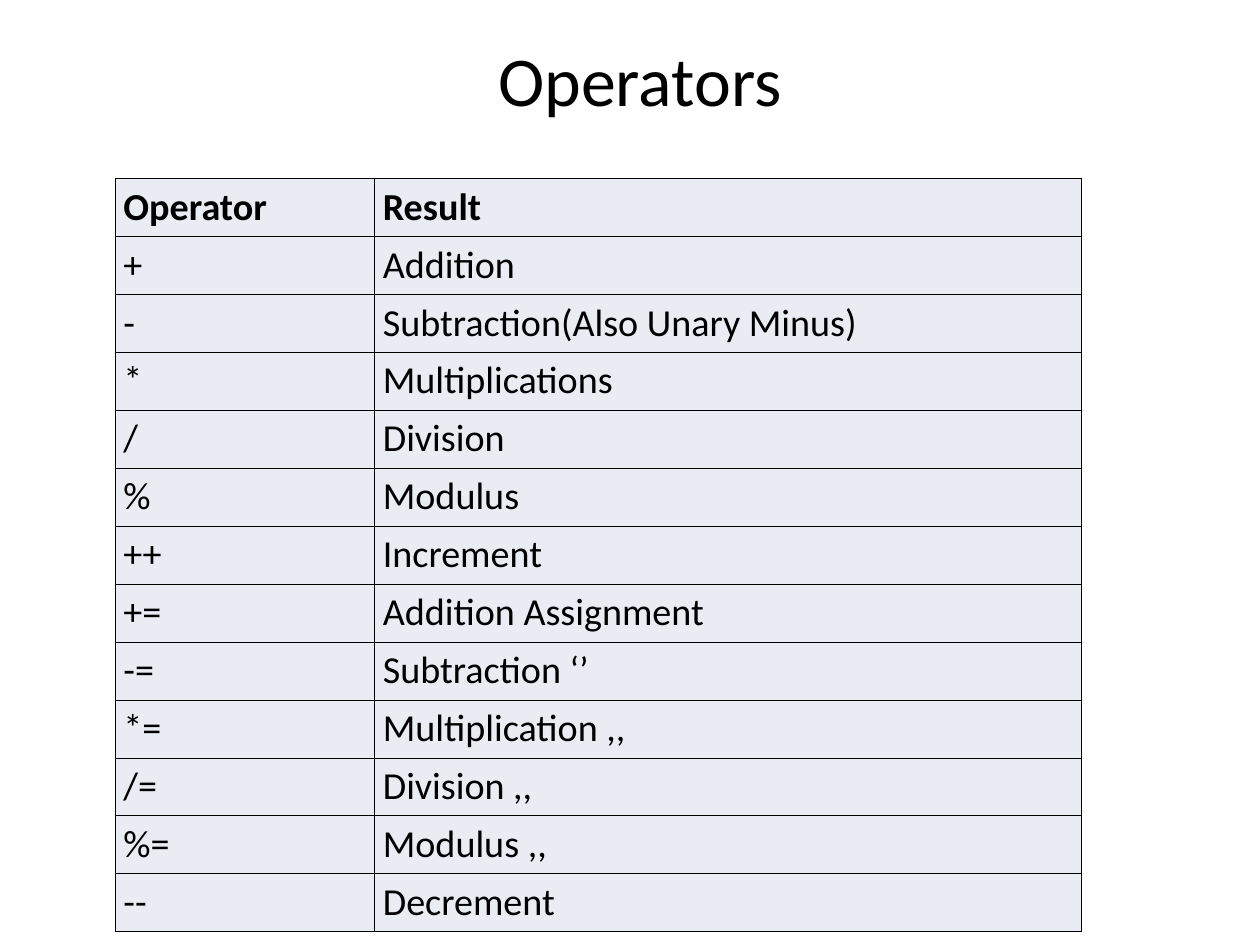
import pptx
import pptx.dml.color
import pptx.enum.text
import pptx.oxml
import pptx.oxml.ns
import pptx.util

Pt = pptx.util.Pt

BLACK = "000000"
CELL_FILL = "E9ECF3"
OPERATORS = [
    ("Operator", "Result"),
    ("+", "Addition"),
    ("-", "Subtraction(Also Unary Minus)"),
    ("*", "Multiplications"),
    ("/", "Division"),
    ("%", "Modulus"),
    ("++", "Increment"),
    ("+=", "Addition Assignment"),
    ("-=", "Subtraction ‘’"),
    ("*=", "Multiplication ,,"),
    ("/=", "Division ,,"),
    ("%=", "Modulus ,,"),
    ("--", "Decrement"),
]
COLUMN_WIDTHS = [163.4, 445]
ROW_HEIGHT = 36.53
CELL_FORMAT = {
    "margin_left": Pt(5.2),
    "margin_right": Pt(5.2),
    "margin_top": Pt(3.6),
    "margin_bottom": Pt(3.6),
    "vertical_anchor": pptx.enum.text.MSO_ANCHOR.TOP,
}


def color(value):
    return pptx.dml.color.RGBColor.from_string(value)


def write(paragraph, text, size, bold=False):
    paragraph.text = text
    font_format = {"name": "Calibri", "size": Pt(size), "bold": bold}
    for name, value in font_format.items():
        setattr(paragraph.font, name, value)
    paragraph.font.color.rgb = color(BLACK)


presentation = pptx.Presentation()
presentation.slide_width = Pt(793.7)
presentation.slide_height = Pt(595.3)
slide = presentation.slides.add_slide(presentation.slide_layouts[6])

# Title
title = slide.shapes.add_textbox(Pt(46), Pt(0), Pt(714.4), Pt(99.4))
title.text_frame.word_wrap = True
title.text_frame.vertical_anchor = pptx.enum.text.MSO_ANCHOR.MIDDLE
heading = title.text_frame.paragraphs[0]
heading.alignment = pptx.enum.text.PP_ALIGN.CENTER
write(heading, "Operators", 44)

# Operator table
table = slide.shapes.add_table(
    len(OPERATORS), len(COLUMN_WIDTHS), Pt(72.6), Pt(112.3),
    Pt(sum(COLUMN_WIDTHS)), Pt(ROW_HEIGHT * len(OPERATORS)),
).table
table.horz_banding = False
for column, width in zip(table.columns, COLUMN_WIDTHS):
    column.width = Pt(width)

for row_index, texts in enumerate(OPERATORS):
    table.rows[row_index].height = Pt(ROW_HEIGHT)
    for column_index, text in enumerate(texts):
        cell = table.cell(row_index, column_index)
        for name, value in CELL_FORMAT.items():
            setattr(cell, name, value)
        properties = cell._tc.get_or_add_tcPr()
        for side in "LRTB":
            properties.append(pptx.oxml.parse_xml(
                f'<a:ln{side} {pptx.oxml.ns.nsdecls("a")} w="{Pt(0.45)}">'
                f'<a:solidFill><a:srgbClr val="{BLACK}"/></a:solidFill></a:ln{side}>'
            ))
        cell.fill.solid()
        cell.fill.fore_color.rgb = color(CELL_FILL)
        paragraph = cell.text_frame.paragraphs[0]
        paragraph.line_spacing = 0.97
        write(paragraph, text, 24, bold=row_index == 0)

presentation.save("out.pptx")
